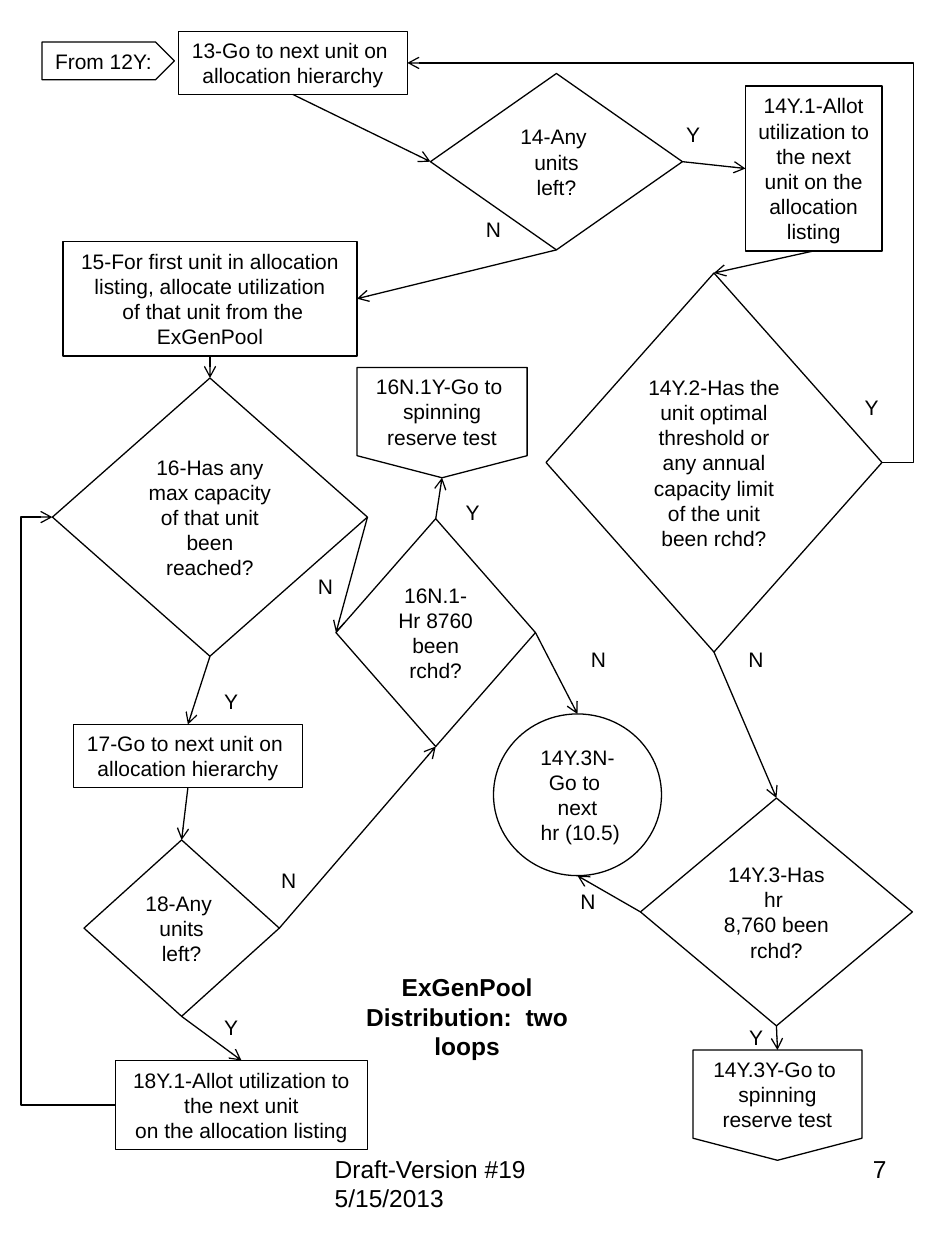
import pptx
import pptx.dml.color
import pptx.enum.shapes
import pptx.enum.text
import pptx.oxml
import pptx.oxml.ns
import pptx.util
from lxml import etree

BLACK = pptx.dml.color.RGBColor(0, 0, 0)
WHITE = pptx.dml.color.RGBColor(255, 255, 255)
FONT = "Arial"
CELL = pptx.util.Inches(1) / 12  # the slide is a grid of 90 columns by 120 rows
COLUMNS, ROWS = 90, 120
TOP, LEFT, BOTTOM, RIGHT = range(4)  # connection sites

KIND = pptx.enum.shapes.MSO_SHAPE
PROCESS = KIND.FLOWCHART_PROCESS
DECISION = KIND.FLOWCHART_DECISION
CIRCLE = KIND.FLOWCHART_CONNECTOR
OFFPAGE = KIND.FLOWCHART_OFFPAGE_CONNECTOR
PENTAGON = KIND.PENTAGON
ALIGN = pptx.enum.text.PP_ALIGN
ANCHOR = pptx.enum.text.MSO_ANCHOR

# name: (kind, (column, row, columns, rows), text, wrap)
STEPS = {
    "13": (PROCESS, (17, 3, 21.8, 6), "13-Go to next unit on \nallocation hierarchy", False),
    "14": (DECISION, (41, 7, 24, 16.8), "14-Any \nunits\nleft?", True),
    "14Y.1": (PROCESS, (71, 8.2, 13, 15.7),
              "14Y.1-Allot utilization to the next unit on the allocation listing", True),
    "14Y.2": (DECISION, (52, 26, 32, 36.1),
              "14Y.2-Has the unit optimal threshold or any annual capacity limit "
              "of the unit been rchd?", True),
    "14Y.3": (DECISION, (61, 76, 25.9, 21.7), "14Y.3-Has hr \n8,760 been\nrchd?", True),
    "14Y.3N": (CIRCLE, (47, 68, 16, 15.4), "14Y.3N-\nGo to \nnext\n hr (10.5)", True),
    "14Y.3Y": (OFFPAGE, (66, 100, 16.1, 10.5), "14Y.3Y-Go to \nspinning reserve test", True),
    "15": (PROCESS, (6, 23, 28, 10.9),
           "15-For first unit in allocation listing, allocate utilization\n"
           " of that unit from the ExGenPool", True),
    "16": (DECISION, (5, 36, 30, 26.5),
           "16-Has any max capacity of that unit been reached?", True),
    "17": (PROCESS, (7, 69, 21.8, 6), "17-Go to next unit on \nallocation hierarchy", False),
    "18": (DECISION, (8, 80, 18.6, 16.8), "18-Any \nunits\nleft?", False),
    "18Y.1": (PROCESS, (11, 101, 24, 8.5),
              "18Y.1-Allot utilization to the next unit\non the allocation listing", True),
    "16N.1": (DECISION, (32, 49.4, 19, 21.7), "16N.1-Hr 8760 been\nrchd?", True),
    "16N.1Y": (OFFPAGE, (34, 35, 16.2, 10.5), "16N.1Y-Go to \nspinning reserve test", True),
    "12Y": (PENTAGON, (4, 4, 12.6, 3.6), "From 12Y:", False),
}

# (from, side, to, side)
ARROWS = [
    ("13", BOTTOM, "14", LEFT), ("14", RIGHT, "14Y.1", LEFT),
    ("14", BOTTOM, "15", RIGHT), ("14Y.1", BOTTOM, "14Y.2", TOP),
    ("14Y.2", BOTTOM, "14Y.3", TOP), ("14Y.3", BOTTOM, "14Y.3Y", TOP),
    ("14Y.3", LEFT, "14Y.3N", BOTTOM), ("15", BOTTOM, "16", TOP),
    ("16", RIGHT, "16N.1", LEFT), ("16", BOTTOM, "17", TOP),
    ("16N.1", TOP, "16N.1Y", BOTTOM), ("16N.1", RIGHT, "14Y.3N", TOP),
    ("17", BOTTOM, "18", TOP), ("18", RIGHT, "16N.1", BOTTOM),
    ("18", BOTTOM, "18Y.1", TOP),
]

# (from, side, to, side, column of the upright stretch)
LOOPS = [("18Y.1", LEFT, "16", LEFT, 2), ("14Y.2", RIGHT, "13", RIGHT, 87)]

# Answer: (centre column, top row) of each label
ANSWERS = {
    "Y": [(66, 11), (83, 37), (45, 47), (22, 65), (22, 96), (72, 97)],
    "N": [(47, 20), (31, 54), (57, 61), (72, 61), (27.5, 82), (56, 84)],
}


def cells(*counts):
    return [round(count * CELL) for count in counts]


def write_text(shape, text, size=12, bold=False, align=ALIGN.CENTER,
               anchor=ANCHOR.TOP, wrap=True):
    frame = shape.text_frame
    frame.text = text
    frame.word_wrap = wrap
    frame.auto_size = pptx.enum.text.MSO_AUTO_SIZE.NONE
    frame.vertical_anchor = anchor
    for paragraph in frame.paragraphs:
        paragraph.alignment = align
        font = paragraph.runs[0].font
        font.name, font.size, font.bold = FONT, pptx.util.Pt(size), bold
        font.color.rgb = BLACK


def add_label(slide, text, box, **text_format):
    write_text(slide.shapes.add_textbox(*cells(*box)), text, **text_format)


def add_step(slide, kind, box, text, wrap):
    shape = slide.shapes.add_shape(kind, *cells(*box))
    shape.shadow.inherit = False
    shape.fill.background()
    shape.line.color.rgb = BLACK
    shape.line.width = pptx.util.Pt(0.75)
    write_text(shape, text, anchor=ANCHOR.MIDDLE, wrap=wrap)
    return shape


def side_point(shape, side):
    across, down = {TOP: (0.5, 0), LEFT: (0, 0.5), BOTTOM: (0.5, 1), RIGHT: (1, 0.5)}[side]
    return (round(shape.left + across * shape.width),
            round(shape.top + down * shape.height))


def add_arrow(slide, kind, start, end):
    connector = slide.shapes.add_connector(kind, *start, *end)
    connector.line.color.rgb = BLACK
    connector.line.width = pptx.util.Pt(0.75)
    properties = connector._element.spPr
    line = properties.find(pptx.oxml.ns.qn("a:ln"))
    etree.SubElement(line, pptx.oxml.ns.qn("a:tailEnd"), type="arrow")
    etree.SubElement(properties, pptx.oxml.ns.qn("a:effectLst"))
    return connector


def add_straight(slide, source, source_side, target, target_side):
    connector = add_arrow(slide, pptx.enum.shapes.MSO_CONNECTOR.STRAIGHT,
                          side_point(source, source_side), side_point(target, target_side))
    connector.begin_connect(source, source_side)
    # A circle numbers its sites differently, so its arrows stay unglued
    if target.auto_shape_type != CIRCLE:
        connector.end_connect(target, target_side)


def add_loop(slide, source, source_side, target, target_side, column):
    start, end = side_point(source, source_side), side_point(target, target_side)
    connector = add_arrow(slide, pptx.enum.shapes.MSO_CONNECTOR.ELBOW, start, end)
    share = (column * CELL - start[0]) / (end[0] - start[0])
    geometry = connector._element.spPr.find(pptx.oxml.ns.qn("a:prstGeom"))
    guides = geometry.find(pptx.oxml.ns.qn("a:avLst"))
    if guides is None:
        guides = etree.SubElement(geometry, pptx.oxml.ns.qn("a:avLst"))
    etree.SubElement(guides, pptx.oxml.ns.qn("a:gd"), name="adj1",
                     fmla=f"val {round(share * 100000)}")


def main():
    presentation = pptx.Presentation()
    presentation.slide_width, presentation.slide_height = cells(COLUMNS, ROWS)
    slide = presentation.slides.add_slide(presentation.slide_layouts[5])
    slide.background.fill.solid()
    slide.background.fill.fore_color.rgb = WHITE

    # Title
    title = slide.shapes.title
    title.left, title.top, title.width, title.height = cells(32, 92, 25, 9.7)
    write_text(title, "ExGenPool Distribution:  two loops", size=14, bold=True)

    # Flowchart
    steps = {name: add_step(slide, *step) for name, step in STEPS.items()}
    for source, source_side, target, target_side in ARROWS:
        add_straight(slide, steps[source], source_side, steps[target], target_side)
    for source, source_side, target, target_side, column in LOOPS:
        add_loop(slide, steps[source], source_side, steps[target], target_side, column)
    for answer, places in ANSWERS.items():
        for centre, row in places:
            add_label(slide, answer, (centre - 2, row, 4, 3.6))

    # Footer
    add_label(slide, "Draft-Version #19 5/15/2013", (30.7, 109.3, 28.6, 8.3),
              size=14, align=ALIGN.LEFT)
    add_label(slide, "7", (64.6, 109.3, 21, 8.3), size=14, align=ALIGN.RIGHT)

    presentation.save("out.pptx")


main()
